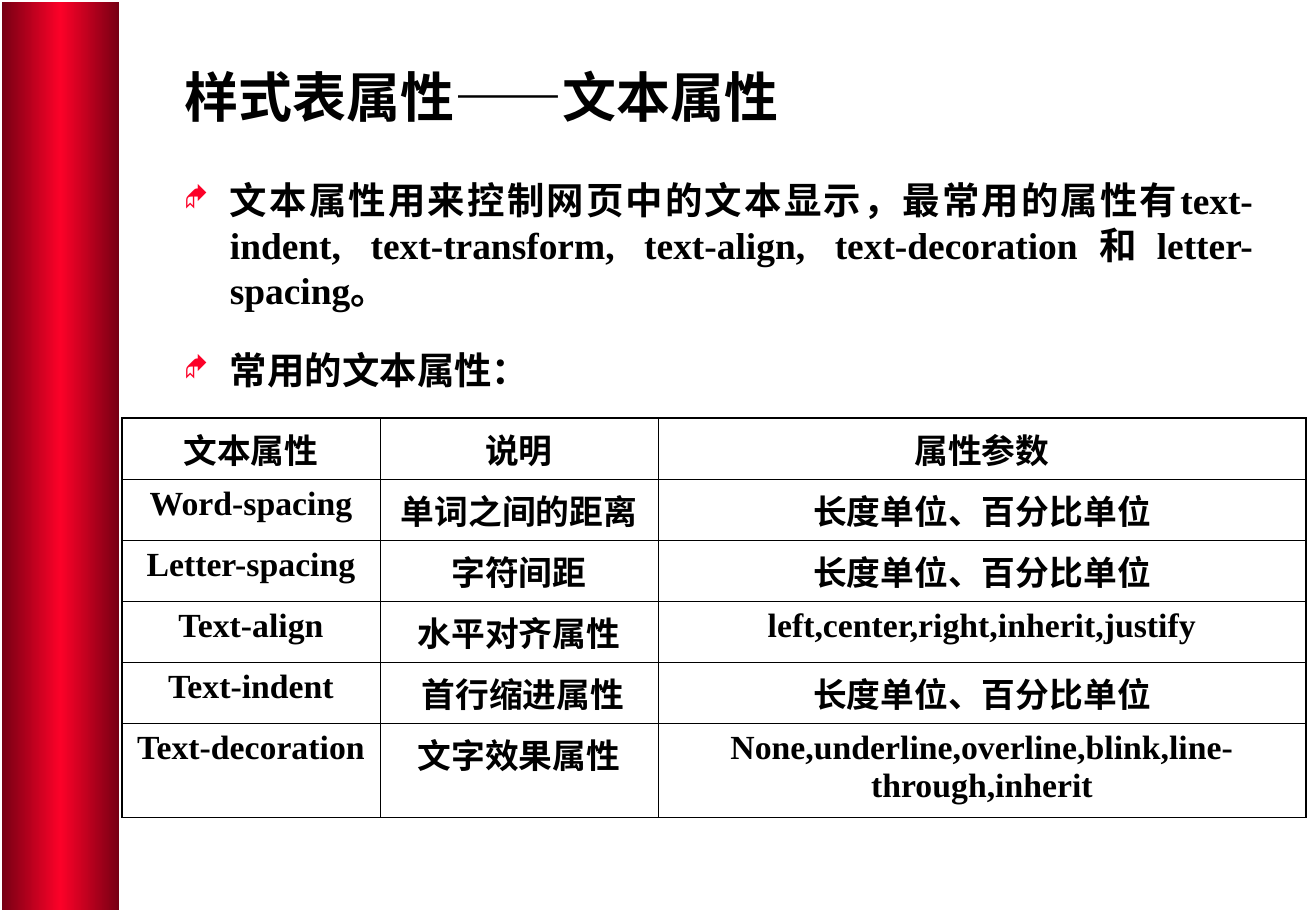
from lxml import etree
from pptx import Presentation
from pptx import util as u
from pptx.dml.color import RGBColor
from pptx.enum import shapes, text
from pptx.oxml import ns

# Content
TITLE = "样式表属性——文本属性"
BULLETS = [
    "文本属性用来控制网页中的文本显示，最常用的属性有text-indent, text-transform, "
    "text-align, text-decoration和letter-spacing。",
    "常用的文本属性：",
]
LENGTHS = "长度单位、百分比单位"
PROPERTIES = [
    ("文本属性", "说明", "属性参数"),
    ("Word-spacing", "单词之间的距离", LENGTHS),
    ("Letter-spacing", "字符间距", LENGTHS),
    ("Text-align", "水平对齐属性", "left,center,right,inherit,justify"),
    ("Text-indent", " 首行缩进属性", LENGTHS),
    ("Text-decoration", "文字效果属性",
     "None,underline,overline,blink,line-through,inherit"),
]

# Look and layout, lengths in px
BLACK = RGBColor(0x00, 0x00, 0x00)
WHITE = RGBColor(0xFF, 0xFF, 0xFF)
RED = RGBColor(0xFC, 0x01, 0x28)
DARK_RED = RGBColor(0x75, 0x00, 0x13)
SLIDE_WIDTH, SLIDE_HEIGHT = u.Inches(10.84), u.Inches(7.5)
BAR_BOX = (1, 1, 119, 909)
TITLE_BOX = (173, 20, 1093, 152)
BULLETS_BOX = (172, 171, 1093, 237)
BULLET_INDENT = 46
TABLE_CORNER = (122, 418)
COLUMN_WIDTHS = [258, 278, 648]
ROW_HEIGHTS = [61] * 5 + [94]
OUTER_LINE, INNER_LINE = 1.08, 0.45
EMU_PER_PX = u.Inches(1) / 121.4


def px(*lengths):
    return [u.Emu(round(length * EMU_PER_PX)) for length in lengths]


def add_element(parent, tag, **attributes):
    return etree.SubElement(parent, ns.qn(tag), attributes)


def style_text(paragraph, font_name, size, alignment):
    paragraph.alignment = alignment
    paragraph.font.name = font_name
    paragraph.font.size = u.Pt(size)
    paragraph.font.bold = True
    paragraph.font.color.rgb = BLACK


def add_text_frame(slide, box, anchor):
    frame = slide.shapes.add_textbox(*px(*box)).text_frame
    frame.word_wrap = True
    frame.vertical_anchor = anchor
    return frame


def add_diamond_bullet(paragraph):
    properties = paragraph._p.get_or_add_pPr()
    indent, = px(BULLET_INDENT)
    properties.set("marL", str(indent))
    properties.set("indent", str(-indent))
    color = add_element(properties, "a:buClr")
    add_element(color, "a:srgbClr", val=str(RED))
    add_element(properties, "a:buSzPct", val="75000")
    add_element(properties, "a:buFont", typeface="Wingdings", charset="2")
    add_element(properties, "a:buChar", char="◆")


def set_border(cell, side, width):
    line = add_element(cell._tc.get_or_add_tcPr(), f"a:ln{side}", w=str(u.Pt(width)))
    fill = add_element(line, "a:solidFill")
    add_element(fill, "a:srgbClr", val=str(BLACK))


def add_bar(slide):
    bar = slide.shapes.add_shape(shapes.MSO_SHAPE.RECTANGLE, *px(*BAR_BOX))
    bar.shadow.inherit = False
    bar.fill.gradient()
    bar.fill.gradient_angle = 0
    stops = bar._element.spPr.find(ns.qn("a:gradFill")).find(ns.qn("a:gsLst"))
    for stop in list(stops):
        stops.remove(stop)
    for percent, color in [(0, DARK_RED), (50, RED), (100, DARK_RED)]:
        stop = add_element(stops, "a:gs", pos=str(percent * 1000))
        add_element(stop, "a:srgbClr", val=str(color))
    bar.line.color.rgb = WHITE
    bar.line.width = u.Pt(1)


def add_title(slide):
    paragraph = add_text_frame(slide, TITLE_BOX, text.MSO_ANCHOR.MIDDLE).paragraphs[0]
    paragraph.text = TITLE
    style_text(paragraph, "Arial", 32, text.PP_ALIGN.LEFT)


def add_bullets(slide):
    frame = add_text_frame(slide, BULLETS_BOX, text.MSO_ANCHOR.TOP)
    for index, bullet in enumerate(BULLETS):
        paragraph = frame.add_paragraph() if index else frame.paragraphs[0]
        paragraph.text = bullet
        add_diamond_bullet(paragraph)
        style_text(paragraph, "Times New Roman", 22.2, text.PP_ALIGN.JUSTIFY)
        paragraph.space_before = u.Pt(15 if index else 0)
        paragraph.space_after = u.Pt(6)


def add_property_table(slide):
    size = px(sum(COLUMN_WIDTHS), sum(ROW_HEIGHTS))
    last_row, last_column = len(ROW_HEIGHTS) - 1, len(COLUMN_WIDTHS) - 1
    table = slide.shapes.add_table(
        last_row + 1, last_column + 1, *px(*TABLE_CORNER), *size).table
    table.first_row = table.horz_banding = False
    for column, width in zip(table.columns, px(*COLUMN_WIDTHS)):
        column.width = width
    for row, height in zip(table.rows, px(*ROW_HEIGHTS)):
        row.height = height
    for r, values in enumerate(PROPERTIES):
        for c, value in enumerate(values):
            cell = table.cell(r, c)
            paragraph = cell.text_frame.paragraphs[0]
            paragraph.text = value
            style_text(paragraph, "Times New Roman", 20, text.PP_ALIGN.CENTER)
            paragraph.space_after = u.Pt(5)
            # Heavier lines run around the outside
            outer_sides = {"L": c == 0, "R": c == last_column,
                           "T": r == 0, "B": r == last_row}
            for side, is_outer in outer_sides.items():
                set_border(cell, side, OUTER_LINE if is_outer else INNER_LINE)
            cell.fill.background()


def main():
    presentation = Presentation()
    presentation.slide_width = SLIDE_WIDTH
    presentation.slide_height = SLIDE_HEIGHT
    slide = presentation.slides.add_slide(presentation.slide_layouts[6])
    add_bar(slide)
    add_title(slide)
    add_bullets(slide)
    add_property_table(slide)
    presentation.save("out.pptx")


if __name__ == "__main__":
    main()
